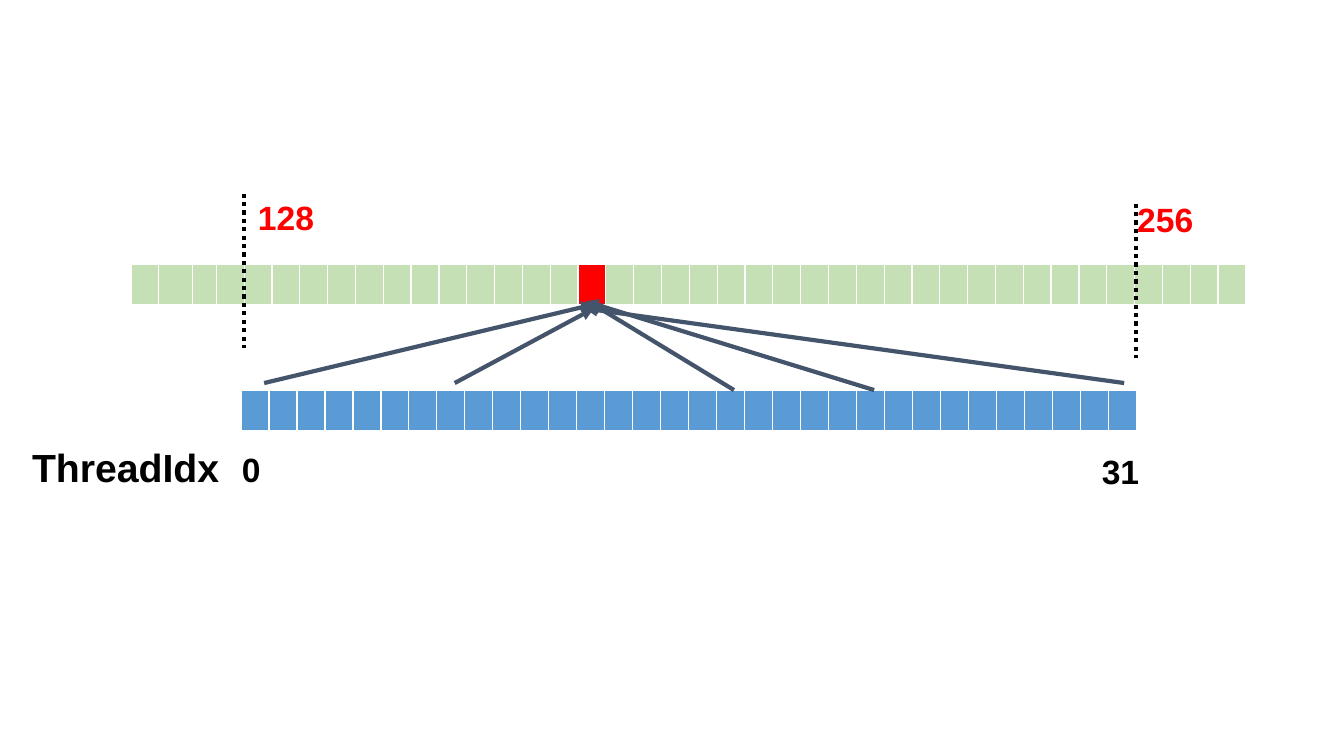
from lxml import etree
from pptx import Presentation
from pptx.dml.color import RGBColor
from pptx.enum import dml, shapes
from pptx.oxml import ns
from pptx.util import Inches, Pt

BLACK = RGBColor(0x00, 0x00, 0x00)
RED = RGBColor(0xFF, 0x00, 0x00)
GREEN = RGBColor(0xC5, 0xE0, 0xB4)
BLUE = RGBColor(0x5B, 0x9B, 0xD5)
SLATE = RGBColor(0x44, 0x54, 0x6A)
WHITE = RGBColor(0xFF, 0xFF, 0xFF)

# Content: left, top, width, cell count, colour, odd widths, marked cells
ROW_H = 0.41
STRIPS = [
    (2.39, 3.87, 8.89, 32, BLUE, {}, {}),
    (1.3, 2.62, 11.06, 40, GREEN, {1: 0.33, 2: 0.23}, {16: RED}),
]
# Thread to memory cell: start, end
ARROWS = [
    ((2.62, 3.8), (5.89, 3.02)),
    ((4.51, 3.8), (5.89, 3.06)),
    ((7.28, 3.87), (5.85, 3)),
    ((11.15, 3.8), (5.8, 3.06)),
    ((8.67, 3.87), (5.81, 2.99)),
]
# Range bounds: x, top
BOUNDS = [(2.42, 1.92), (11.27, 2.02)]
BOUND_H = 1.53
# Labels: text, box, size, colour
LABELS = [
    ("ThreadIdx", (0.22, 4.35, 2.4, 0.57), 28, BLACK),
    ("0", (2.3, 4.4, 0.23, 0.5), 24, BLACK),
    ("31", (10.83, 4.42, 0.63, 0.5), 24, BLACK),
    ("128", (2.46, 1.9, 1.18, 0.5), 24, RED),
    ("256", (11.18, 1.92, 1.18, 0.5), 24, RED),
]
# Cell edges: tag and width in points
EDGES = [("a:lnL", 1), ("a:lnR", 1), ("a:lnT", 1), ("a:lnB", 3)]

deck = Presentation()
deck.slide_width, deck.slide_height = Inches(13.33), Inches(7.5)
slide = deck.slides.add_slide(deck.slide_layouts[6])


def paint(cell, color):
    cell.fill.solid()
    cell.fill.fore_color.rgb = color
    props = cell._tc.get_or_add_tcPr()
    for i, (tag, wide) in enumerate(EDGES):
        edge = etree.Element(ns.qn(tag), w=str(Pt(wide)))
        fill = etree.SubElement(edge, ns.qn("a:solidFill"))
        etree.SubElement(fill, ns.qn("a:srgbClr"), val=str(WHITE))
        props.insert(i, edge)


def add_strip(left, top, width, count, color, odd, marks):
    frame = slide.shapes.add_table(
        1, count, Inches(left), Inches(top), Inches(width), Inches(ROW_H))
    table = frame.table
    table.first_row = table.horz_banding = False
    step = (width - sum(odd.values())) / (count - len(odd))
    for i, col in enumerate(table.columns):
        col.width = Inches(odd.get(i, step))
        paint(table.cell(0, i), marks.get(i, color))


def add_line(start, end, color):
    line = slide.shapes.add_connector(
        shapes.MSO_CONNECTOR.STRAIGHT, *map(Inches, start + end))
    line.line.color.rgb = color
    line.line.width = Pt(3)
    etree.SubElement(line._element.spPr, ns.qn("a:effectLst"))
    return line


def add_label(label, box, size, color):
    frame = slide.shapes.add_textbox(*map(Inches, box)).text_frame
    frame.word_wrap = True
    run = frame.paragraphs[0].add_run()
    run.text = label
    run.font.name, run.font.size, run.font.bold = "Arial", Pt(size), True
    run.font.color.rgb = color


# Cell strips
for strip in STRIPS:
    add_strip(*strip)

# Access arrows
for start, end in ARROWS:
    arrow = add_line(start, end, SLATE)
    etree.SubElement(arrow.line._get_or_add_ln(), ns.qn("a:tailEnd"), type="triangle")

# Labels
for item in LABELS:
    add_label(*item)

# Dotted range bounds
for x, top in BOUNDS:
    bound = add_line((x, top), (x, top + BOUND_H), BLACK)
    bound.line.dash_style = dml.MSO_LINE.ROUND_DOT

deck.save("out.pptx")
